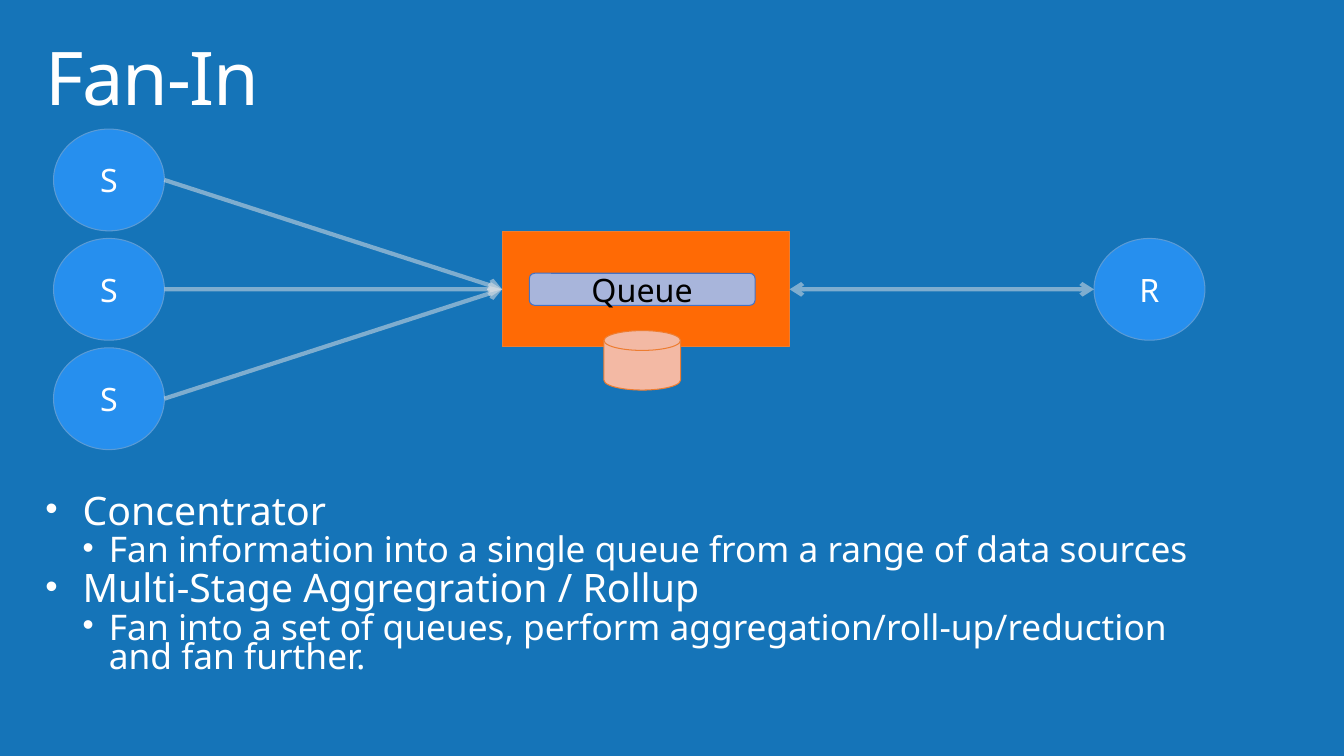
from lxml.etree import SubElement
from pptx import Presentation
from pptx.dml.color import RGBColor
from pptx.enum.shapes import MSO_CONNECTOR, MSO_SHAPE
from pptx.enum.text import MSO_ANCHOR, MSO_AUTO_SIZE, PP_ALIGN
from pptx.oxml.ns import qn
from pptx.util import Inches, Pt

FONT = "Noto Sans"
WIDE, HIGH = Inches(13.33), Inches(7.5)
WHITE = "FFFFFF"


def color(text):
    """Turn a hex string into a colour."""
    return RGBColor.from_string(text)


def part(box, x, y, w, h):
    """Return the area at percentages of a box."""
    left, top, wide, high = box
    return (round(left + wide * x / 100), round(top + high * y / 100),
            round(wide * w / 100), round(high * h / 100))


def add_run(para, text, size, tint=WHITE):
    """Add one run of text to a paragraph."""
    run = para.add_run()
    run.text = text
    run.font.name, run.font.size = FONT, Pt(size)
    run.font.color.rgb = color(tint)
    return run


def place(holder, box, anchor):
    """Move a placeholder and set up its frame."""
    holder.left, holder.top, holder.width, holder.height = box
    frame = holder.text_frame
    frame.word_wrap, frame.auto_size = True, MSO_AUTO_SIZE.NONE
    frame.vertical_anchor = anchor
    frame.margin_left = frame.margin_right = Inches(0.16)
    frame.margin_top = frame.margin_bottom = Inches(0.1)
    return frame


def add_title(slide, box, text):
    """Fill the title placeholder."""
    para = place(slide.shapes.title, box, MSO_ANCHOR.MIDDLE).paragraphs[0]
    para.alignment, para.line_spacing = PP_ALIGN.LEFT, 0.9
    run = add_run(para, text, 52.9)
    run.font._element.set("spc", "-100")


def add_list(slide, box, items):
    """Fill the body placeholder with (level, text) items."""
    frame = place(slide.placeholders[1], box, MSO_ANCHOR.TOP)
    styles = [(28, 0.37, 0.37), (25.2, 0.63, 0.26)]
    for i, (level, text) in enumerate(items):
        para = frame.add_paragraph() if i else frame.paragraphs[0]
        size, left, hang = styles[level]
        para.level, para.line_spacing = level, 0.7
        para.alignment = PP_ALIGN.LEFT
        props = para._p.get_or_add_pPr()
        props.set("marL", str(Inches(left)))
        props.set("indent", str(-Inches(hang)))
        gap = SubElement(props, qn("a:spcBef"))
        SubElement(gap, qn("a:spcPct"), val="20000")
        SubElement(props, qn("a:buSzPct"), val="90000")
        SubElement(props, qn("a:buFont"), typeface="Arial")
        SubElement(props, qn("a:buChar"), char="•")
        add_run(para, text, size)


def add_node(slide, kind, box, fill, edge, text="", tint=WHITE):
    """Draw a filled shape with an optional centred label."""
    node = slide.shapes.add_shape(kind, *box)
    node.shadow.inherit = False
    node.fill.solid()
    node.fill.fore_color.rgb = color(fill)
    node.line.color.rgb = color(edge)
    node.line.width = Pt(0.75)
    if text:
        frame = node.text_frame
        frame.vertical_anchor = MSO_ANCHOR.MIDDLE
        frame.word_wrap = True
        para = frame.paragraphs[0]
        para.alignment = PP_ALIGN.CENTER
        add_run(para, text, 23, tint)
    return node


def add_arrow(slide, start, end, ends=("tailEnd",)):
    """Join the right side of one node to the left side of another."""
    link = slide.shapes.add_connector(
        MSO_CONNECTOR.STRAIGHT,
        start.left + start.width, start.top + start.height // 2,
        end.left, end.top + end.height // 2)
    link.line.width = Pt(3)
    link.line.color.rgb = color("E7E6E6")
    line = link.line._ln
    SubElement(line.find(".//" + qn("a:srgbClr")), qn("a:alpha"), val="50000")
    for name in ends:
        SubElement(line, qn("a:" + name), type="arrow")
    SubElement(link._element.spPr, qn("a:effectLst"))


def add_flow(slide, box):
    """Draw three senders feeding one queue and its receiver."""
    wide, high = 9.63, 31.76
    step = (100 - high) / 2

    def circle(x, row, text):
        """Draw a sender or receiver in a row."""
        return add_node(slide, MSO_SHAPE.OVAL,
                        part(box, x, row * step, wide, high),
                        "268FEE", "5B9BD5", text)

    broker = add_node(slide, MSO_SHAPE.RECTANGLE,
                      part(box, 38.97, 32, 24.96, 36), "FF6A05", "ED7D31")
    add_node(slide, MSO_SHAPE.FLOWCHART_MAGNETIC_DISK,
             part(box, 47.81, 62.89, 6.65, 18.55), "F3B9A4", "ED7D31")
    add_node(slide, MSO_SHAPE.ROUNDED_RECTANGLE,
             part(box, 41.33, 45, 19.61, 10), "A8B5DB", "4472C4",
             "Queue", "000000")
    for row in range(3):
        add_arrow(slide, circle(0, row, "S"), broker)
    add_arrow(slide, broker, circle(100 - wide, 1, "R"),
              ("headEnd", "tailEnd"))


def build():
    """Make the deck and save it."""
    deck = Presentation()
    deck.slide_width, deck.slide_height = WIDE, HIGH
    slide = deck.slides.add_slide(deck.slide_layouts[1])
    slide.background.fill.solid()
    slide.background.fill.fore_color.rgb = color("1574B8")
    page = (0, 0, WIDE, HIGH)
    add_title(slide, part(page, 2.18, 4.27, 94.67, 13.07), "Fan-In")
    add_list(slide, part(page, 2.18, 64.67, 89.27, 28.53), [
        (0, "Concentrator"),
        (1, "Fan information into a single queue from a range of data sources"),
        (0, "Multi-Stage Aggregration / Rollup"),
        (1, "Fan into a set of queues, perform aggregation/roll-up/reduction "
            "and fan further."),
    ])
    add_flow(slide, part(page, 3.98, 17.07, 85.67, 42.4))
    deck.save("out.pptx")


build()
